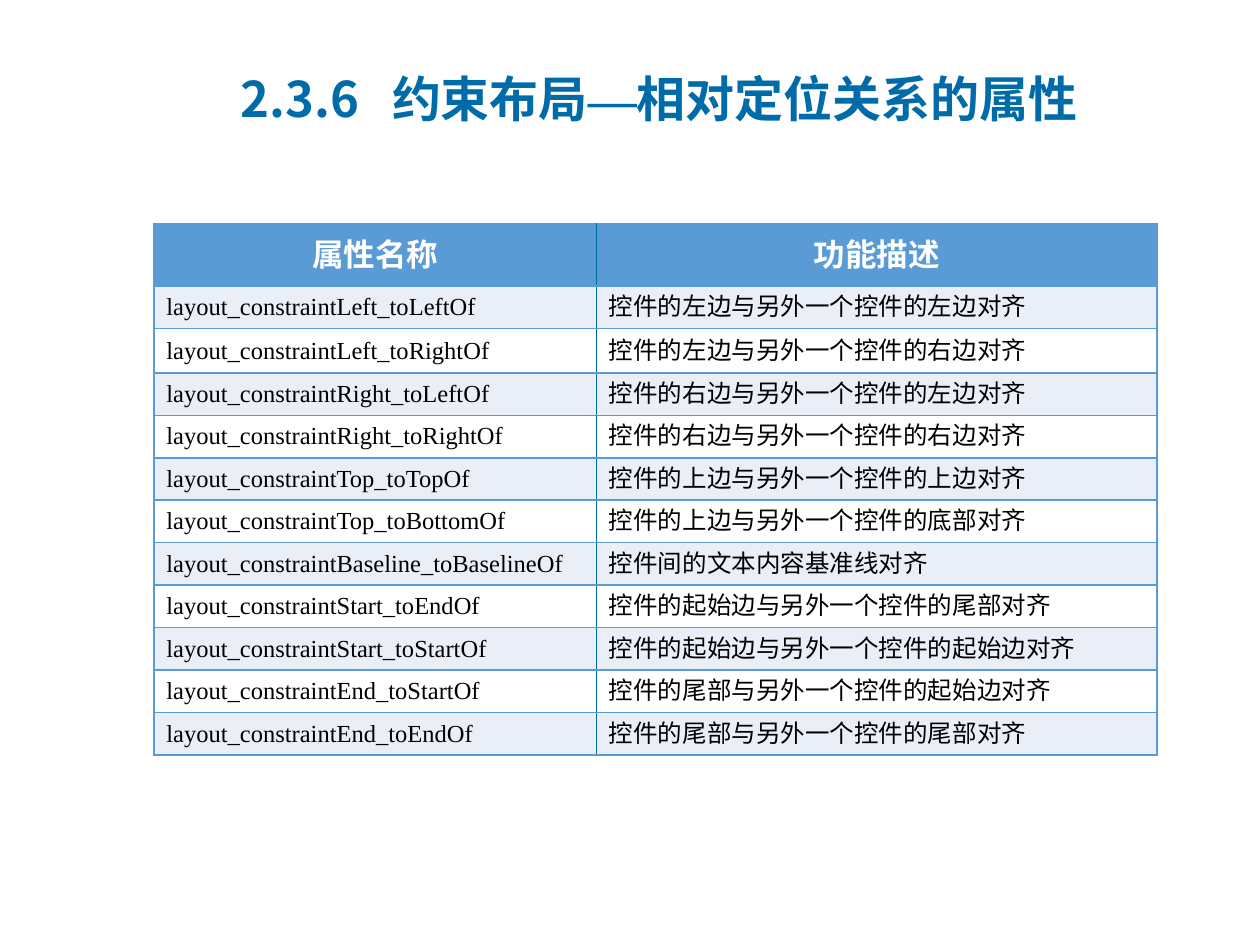
from dataclasses import dataclass

from lxml import etree
from pptx import Presentation
from pptx.dml.color import RGBColor
from pptx.enum import text as t
from pptx.oxml import ns
from pptx.util import Cm, Pt


@dataclass(frozen=True)
class Theme:
    accent: str = "006BA9"
    header: str = "5B9BD5"
    band: str = "EAEFF7"
    white: str = "FFFFFF"
    black: str = "000000"
    title_font: str = "Noto Sans CJK SC"
    body_font: str = "Calibri"
    name_font: str = "Times New Roman"
    title_size: int = 28
    header_size: int = 18
    body_size: int = 14
    rule: int = 1


THEME = Theme()
TITLE_BOX = (Cm(4.6), Cm(1.2), Cm(20.8), Cm(1.55))
TABLE_BOX = (Cm(3.1), Cm(4.52), Cm(20.22), Cm(10.63))
COLUMN_WIDTHS = (Cm(8.92), Cm(11.3))
ROW_HEIGHTS = (Cm(1.25), Cm(0.84), Cm(0.89)) + (Cm(0.85),) * 9

HEADINGS = ("属性名称", "功能描述")
ATTRIBUTES = (
    ("Left_toLeftOf", "控件的左边与另外一个控件的左边对齐"),
    ("Left_toRightOf", "控件的左边与另外一个控件的右边对齐"),
    ("Right_toLeftOf", "控件的右边与另外一个控件的左边对齐"),
    ("Right_toRightOf", "控件的右边与另外一个控件的右边对齐"),
    ("Top_toTopOf", "控件的上边与另外一个控件的上边对齐"),
    ("Top_toBottomOf", "控件的上边与另外一个控件的底部对齐"),
    ("Baseline_toBaselineOf", "控件间的文本内容基准线对齐"),
    ("Start_toEndOf", "控件的起始边与另外一个控件的尾部对齐"),
    ("Start_toStartOf", "控件的起始边与另外一个控件的起始边对齐"),
    ("End_toStartOf", "控件的尾部与另外一个控件的起始边对齐"),
    ("End_toEndOf", "控件的尾部与另外一个控件的尾部对齐"),
)


def add_run(paragraph, wording, font, size, color, bold=False):
    run = paragraph.add_run()
    run.text = wording
    run.font.size = Pt(size)
    run.font.bold = bold
    run.font.color.rgb = RGBColor.from_string(color)
    run.font.name = font
    east_asian = etree.SubElement(run.font._element, ns.qn("a:ea"))
    east_asian.set("typeface", font)


def set_borders(cell, **colors):
    """Draw the cell's edges; keys are L, R, T and B in that order."""
    properties = cell._tc.get_or_add_tcPr()
    for position, (side, color) in enumerate(colors.items()):
        line = etree.Element(ns.qn(f"a:ln{side}"), w=str(Pt(THEME.rule)))
        fill = etree.SubElement(line, ns.qn("a:solidFill"))
        etree.SubElement(fill, ns.qn("a:srgbClr"), val=color)
        properties.insert(position, line)


def fill_title(title, box):
    title.left, title.top, title.width, title.height = box
    frame = title.text_frame
    frame.word_wrap = True
    frame.auto_size = t.MSO_AUTO_SIZE.NONE
    frame.vertical_anchor = t.MSO_ANCHOR.MIDDLE
    heading = frame.paragraphs[0]
    heading.alignment = t.PP_ALIGN.LEFT
    tabs = etree.SubElement(heading._p.get_or_add_pPr(), ns.qn("a:tabLst"))
    etree.SubElement(tabs, ns.qn("a:tab"), pos=str(Cm(3.05)), algn="l")
    for wording, font in (
        ("2.3.6\t约束布局", THEME.title_font),
        ("—", THEME.name_font),
        ("相对定位关系的属性", THEME.title_font),
    ):
        add_run(heading, wording, font, THEME.title_size, THEME.accent, True)


def fill_cell(cell, wording, row, column):
    is_header = row == 0
    cell.vertical_anchor = t.MSO_ANCHOR.MIDDLE
    cell.fill.solid()
    background = THEME.header if is_header else (THEME.white, THEME.band)[row % 2]
    cell.fill.fore_color.rgb = RGBColor.from_string(background)
    set_borders(
        cell,
        L=THEME.accent if column else THEME.header,
        R=THEME.header if column else THEME.accent,
        T=THEME.header,
        B=THEME.header,
    )
    paragraph = cell.text_frame.paragraphs[0]
    if is_header:
        paragraph.alignment = t.PP_ALIGN.CENTER
        add_run(paragraph, wording, THEME.body_font, THEME.header_size, THEME.white, True)
    else:
        font = THEME.body_font if column else THEME.name_font
        add_run(paragraph, wording, font, THEME.body_size, THEME.black)


def add_attribute_table(slide, box):
    rows = [HEADINGS]
    rows += [(f"layout_constraint{name}", purpose) for name, purpose in ATTRIBUTES]
    table = slide.shapes.add_table(len(rows), len(HEADINGS), *box).table
    for column, width in zip(table.columns, COLUMN_WIDTHS):
        column.width = width
    for table_row, height in zip(table.rows, ROW_HEIGHTS):
        table_row.height = height
    for row, wordings in enumerate(rows):
        for column, wording in enumerate(wordings):
            fill_cell(table.cell(row, column), wording, row, column)


def main():
    deck = Presentation()
    deck.slide_width, deck.slide_height = Cm(25.4), Cm(19.05)
    slide = deck.slides.add_slide(deck.slide_layouts.get_by_name("Title Only"))
    fill_title(slide.shapes.title, TITLE_BOX)
    add_attribute_table(slide, TABLE_BOX)
    deck.save("out.pptx")


if __name__ == "__main__":
    main()
